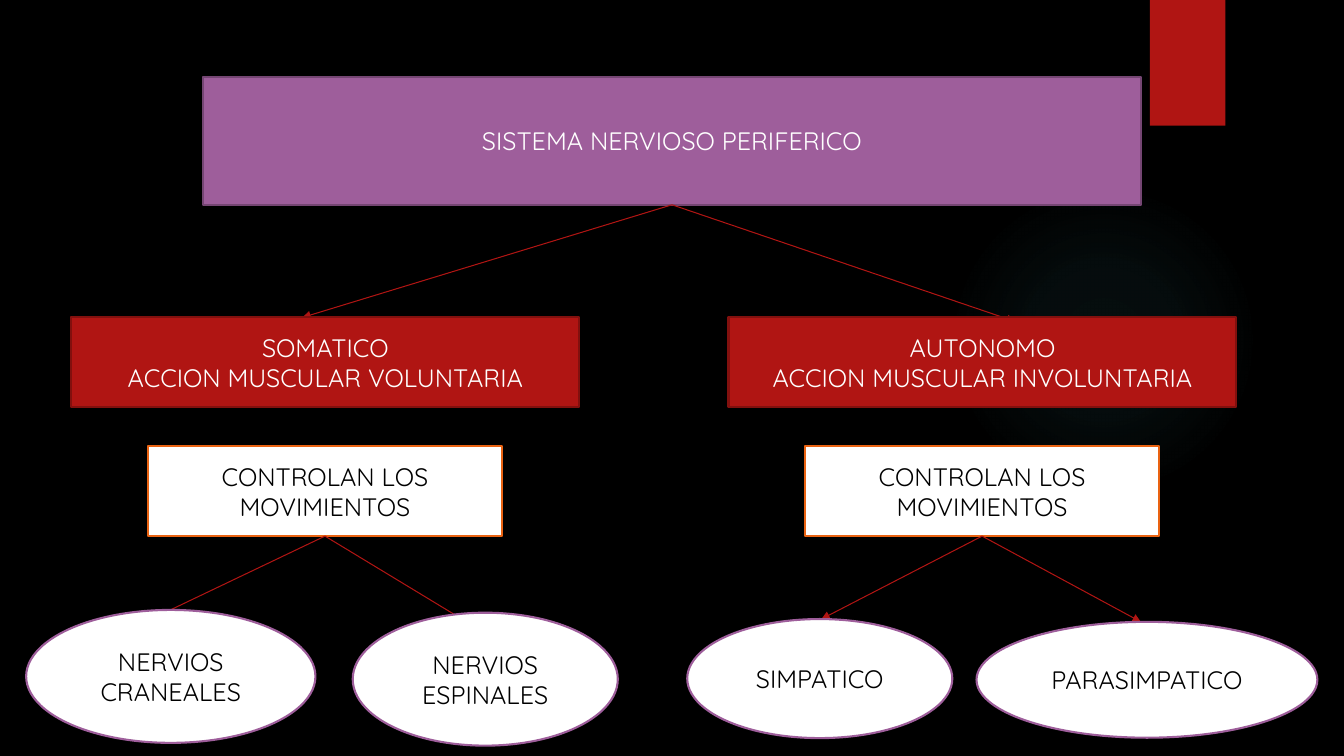
from lxml import etree
from pptx import Presentation
from pptx.dml.color import RGBColor
from pptx.enum.shapes import MSO_CONNECTOR, MSO_SHAPE
from pptx.enum.text import MSO_ANCHOR, PP_ALIGN
from pptx.oxml import parse_xml
from pptx.oxml.ns import nsdecls, qn
from pptx.util import Cm, Pt

RECTANGLE, ELLIPSE = MSO_SHAPE.RECTANGLE, MSO_SHAPE.OVAL
STRAIGHT = MSO_CONNECTOR.STRAIGHT
CENTER, MIDDLE = PP_ALIGN.CENTER, MSO_ANCHOR.MIDDLE
BOTTOM_SIDE = 2
FONT = "Quicksand"
COLORS = {
    "black": "000000", "white": "FFFFFF", "red": "B01513", "dark_red": "82100E",
    "purple": "9E5E9B", "dark_purple": "754673", "orange": "EA6312", "glow": "50B9C1",
}


def rgb(name):
    """Return the named colour of the palette."""
    return RGBColor.from_string(COLORS[name])


def write_text(shape, text, size=18, color="white", font=FONT, align=CENTER):
    """Write the lines of text into a shape, one paragraph each."""
    frame = shape.text_frame
    frame.word_wrap = True
    frame.vertical_anchor = MIDDLE
    frame.text = text
    for paragraph in frame.paragraphs:
        paragraph.alignment = align
        paragraph.font.size = Pt(size)
        paragraph.font.name = font
        paragraph.font.color.rgb = rgb(color)


def add_node(slide, kind, box, fill, outline=None, text="", color="white"):
    """Add a filled shape in a box given in centimetres."""
    node = slide.shapes.add_shape(kind, *(Cm(length) for length in box))
    node.shadow.inherit = False
    node.fill.solid()
    node.fill.fore_color.rgb = rgb(fill)
    if outline:
        node.line.color.rgb = rgb(outline)
        node.line.width = Pt(1.5)
    else:
        node.line.fill.background()
    if text:
        write_text(node, text, color=color)
    return node


def add_arrow(slide, parent, x, y):
    """Add an arrow from the bottom of the parent to a point in centimetres."""
    arrow = slide.shapes.add_connector(STRAIGHT, 0, 0, Cm(x), Cm(y))
    arrow.begin_connect(parent, BOTTOM_SIDE)
    arrow.line.color.rgb = rgb("red")
    arrow.line.width = Pt(0.75)
    etree.SubElement(arrow.line._get_or_add_ln(), qn("a:tailEnd"), type="triangle")
    etree.SubElement(arrow._element.spPr, qn("a:effectLst"))


def add_backdrop(slide):
    """Paint the black background, the soft glow and the red tab."""
    slide.background.fill.solid()
    slide.background.fill.fore_color.rgb = rgb("black")
    glow = add_node(slide, ELLIPSE, (23.9, 4.65, 7.82, 7.82), "glow")
    stops = "".join(
        f'<a:gs pos="{position * 1000}"><a:srgbClr val="{COLORS["glow"]}">'
        f'<a:alpha val="{alpha * 1000}"/></a:srgbClr></a:gs>'
        for position, alpha in ((0, 7), (36, 6), (69, 0))
    )
    gradient = parse_xml(
        f'<a:gradFill {nsdecls("a")}><a:gsLst>{stops}</a:gsLst><a:path path="circle">'
        '<a:fillToRect l="50000" t="50000" r="50000" b="50000"/></a:path></a:gradFill>'
    )
    properties = glow._element.spPr
    properties.replace(properties.find(qn("a:solidFill")), gradient)
    add_node(slide, RECTANGLE, (28.98, 0, 1.9, 3.17), "red")


def add_branch(slide, left, top, heading, leaves):
    """Add a division, its function and its leaves from a top left corner."""
    add_node(slide, RECTANGLE, (left, top, 12.8, 2.26), "red", "dark_red", heading)
    control = add_node(slide, RECTANGLE, (left + 1.92, top + 3.25, 8.94, 2.26),
                       "white", "orange", "CONTROLAN LOS MOVIMIENTOS", "black")
    for tip_x, tip_y, *_ in leaves:
        add_arrow(slide, control, left + tip_x, top + tip_y)
    for _, _, (x, y, width, height), name in leaves:
        add_node(slide, ELLIPSE, (left + x, top + y, width, height),
                 "white", "purple", name, "black")


def main():
    """Build the diagram of the peripheral nervous system."""
    deck = Presentation()
    deck.slide_width, deck.slide_height = Cm(33.87), Cm(19.05)
    slide = deck.slides.add_slide(deck.slide_layouts[6])
    add_backdrop(slide)
    system = add_node(slide, RECTANGLE, (5.11, 1.93, 23.65, 3.23), "purple",
                      "dark_purple", "SISTEMA NERVIOSO PERIFERICO")
    add_arrow(slide, system, 7.62, 8)
    add_arrow(slide, system, 25.58, 8.1)
    add_branch(slide, 1.8, 8, "SOMATICO\nACCION MUSCULAR VOLUNTARIA", (
        (2.01, 7.6, (-1.14, 7.37, 7.29, 3.35), "NERVIOS CRANEALES"),
        (9.96, 7.67, (7.09, 7.44, 6.68, 3.35), "NERVIOS ESPINALES"),
    ))
    add_branch(slide, 18.36, 8, "AUTONOMO\nACCION MUSCULAR INVOLUNTARIA", (
        (2.34, 7.6, (-1.04, 7.6, 6.68, 3), "SIMPATICO"),
        (10.39, 7.67, (6.25, 7.67, 8.59, 2.92), "PARASIMPATICO"),
    ))
    deck.save("out.pptx")


if __name__ == "__main__":
    main()
